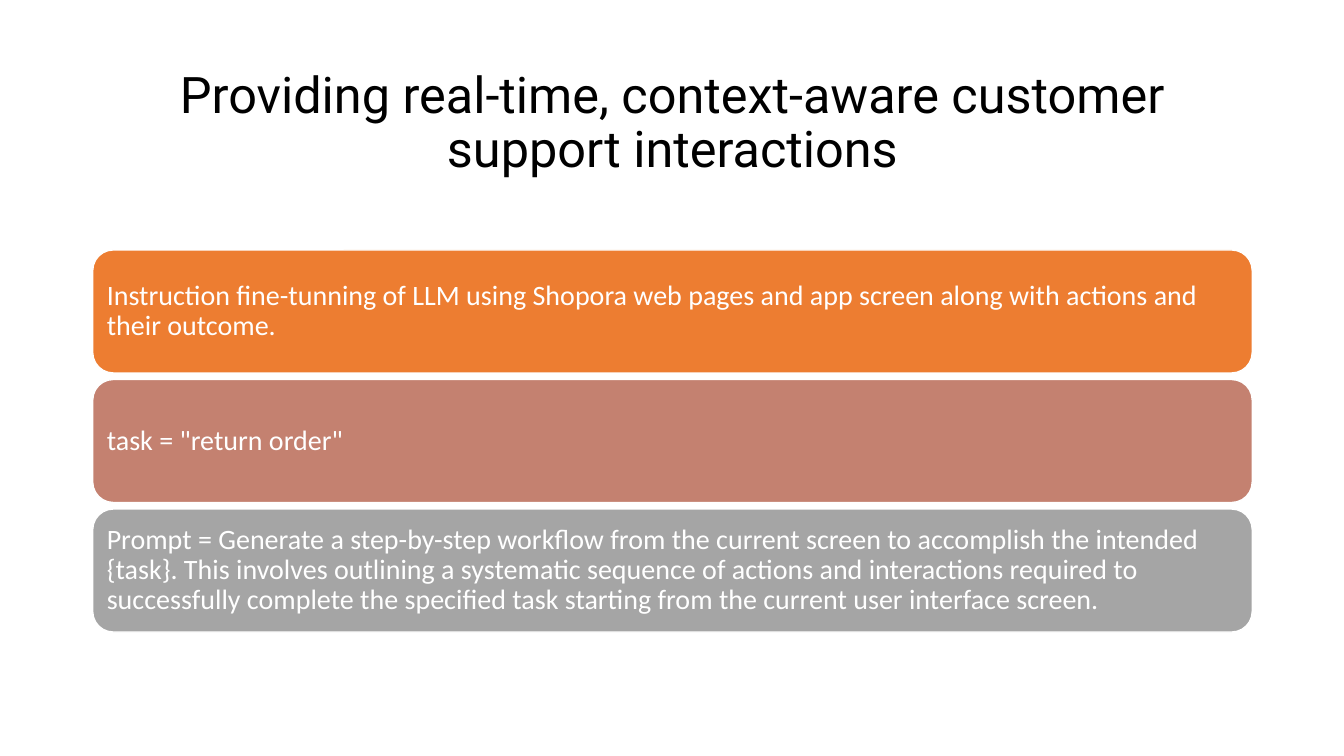
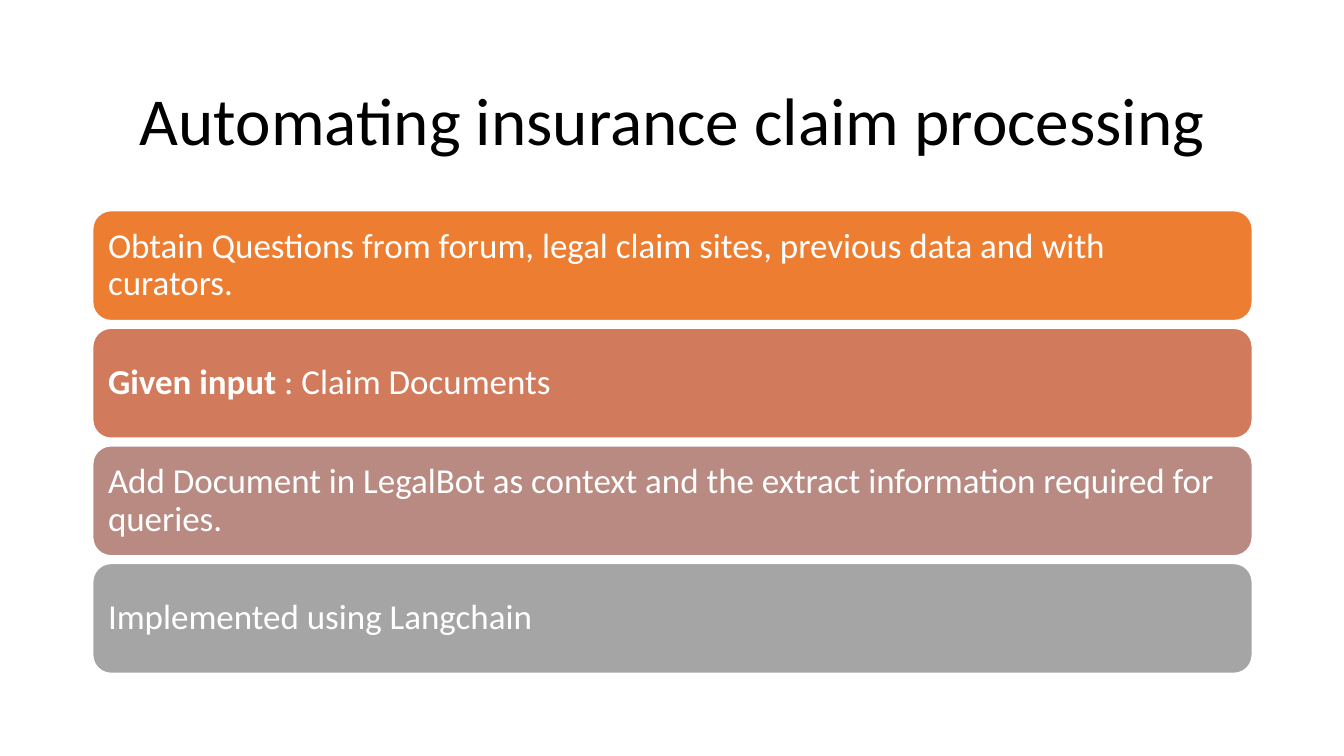
from dataclasses import dataclass

from pptx import Presentation
from pptx import util as u
from pptx.dml.color import RGBColor
from pptx.enum import shapes, text

WIDTH, HEIGHT = 13.33, 7.5
LEFT, SPAN = 0.92, 11.5
HEAD_TOP, HEAD_TALL = 0.61, 1.24
TITLE_ONLY = 5

BLACK = RGBColor(0x00, 0x00, 0x00)
WHITE = RGBColor(0xFF, 0xFF, 0xFF)
ORANGE = RGBColor(0xED, 0x7D, 0x31)
CORAL = RGBColor(0xD1, 0x7B, 0x5C)
ROSE = RGBColor(0xC4, 0x81, 0x70)
MAUVE = RGBColor(0xB9, 0x8A, 0x82)
GRAY = RGBColor(0xA5, 0xA5, 0xA5)


@dataclass(frozen=True)
class Band:
    fill: RGBColor
    body: str
    lead: str = ""


@dataclass(frozen=True)
class Page:
    title: str
    font: str
    title_size: int
    top: float
    bottom: float
    tall: float
    size: int
    inset: float
    bands: tuple[Band, ...]


PAGES = (
    Page(
        "Providing real-time, context-aware customer support interactions",
        font="Roboto", title_size=36,
        top=2.48, bottom=6.27, tall=1.22, size=20, inset=0.08,
        bands=(
            Band(ORANGE, "Instruction fine-tunning of LLM using Shopora web pages and "
                         "app screen along with actions and their outcome."),
            Band(ROSE, 'task = "return order"'),
            Band(GRAY, "Prompt = Generate a step-by-step workflow from the current "
                       "screen to accomplish the intended {task}. This involves "
                       "outlining a systematic sequence of actions and interactions "
                       "required to successfully complete the specified task starting "
                       "from the current user interface screen."),
        ),
    ),
    Page(
        "Automating insurance claim processing",
        font="Calibri", title_size=48,
        top=2.09, bottom=6.68, tall=1.09, size=25, inset=0.1,
        bands=(
            Band(ORANGE, "Obtain Questions from forum, legal claim sites, previous "
                         "data and with curators."),
            Band(CORAL, " : Claim Documents", lead="Given input"),
            Band(MAUVE, "Add Document in LegalBot as context and the extract "
                        "information required for queries."),
            Band(GRAY, "Implemented using Langchain"),
        ),
    ),
)


def place(shape, left: float, top: float, wide: float, tall: float) -> None:
    shape.left, shape.top = u.Inches(left), u.Inches(top)
    shape.width, shape.height = u.Inches(wide), u.Inches(tall)


def write(frame, body: str, *, lead: str = "", size: int, color: RGBColor,
          font: str = "Calibri", align=text.PP_ALIGN.LEFT, inset: float = 0.1) -> None:
    """Fill a text frame with one paragraph, its lead in bold."""
    frame.word_wrap = True
    frame.auto_size = text.MSO_AUTO_SIZE.NONE
    frame.vertical_anchor = text.MSO_ANCHOR.MIDDLE
    frame.margin_left = frame.margin_right = u.Inches(inset)
    frame.margin_top = frame.margin_bottom = u.Inches(inset)
    para = frame.paragraphs[0]
    para.alignment, para.line_spacing = align, 0.9
    for words, bold in ((lead, True), (body, False)):
        if words:
            run = para.add_run()
            run.text = words
            run.font.name, run.font.size = font, u.Pt(size)
            run.font.bold, run.font.color.rgb = bold, color


def draw_band(slide, band: Band, page: Page, top: float) -> None:
    box = slide.shapes.add_shape(
        shapes.MSO_SHAPE.ROUNDED_RECTANGLE, u.Inches(LEFT), u.Inches(top),
        u.Inches(SPAN), u.Inches(page.tall))
    box.shadow.inherit = False
    box.fill.solid()
    box.fill.fore_color.rgb = band.fill
    box.line.color.rgb, box.line.width = WHITE, u.Pt(1)
    write(box.text_frame, band.body, lead=band.lead, size=page.size,
          color=WHITE, inset=page.inset)


def draw_page(deck, layout, page: Page) -> None:
    slide = deck.slides.add_slide(layout)
    write(slide.shapes.title.text_frame, page.title, size=page.title_size,
          color=BLACK, font=page.font, align=text.PP_ALIGN.CENTER)
    step = (page.bottom - page.top - page.tall) / (len(page.bands) - 1)
    for row, band in enumerate(page.bands):
        draw_band(slide, band, page, page.top + row * step)


def main() -> None:
    deck = Presentation()
    deck.slide_width, deck.slide_height = u.Inches(WIDTH), u.Inches(HEIGHT)
    layout = deck.slide_layouts[TITLE_ONLY]
    place(layout.placeholders[0], LEFT, HEAD_TOP, SPAN, HEAD_TALL)
    for page in PAGES:
        draw_page(deck, layout, page)
    deck.save("out.pptx")


if __name__ == "__main__":
    main()
